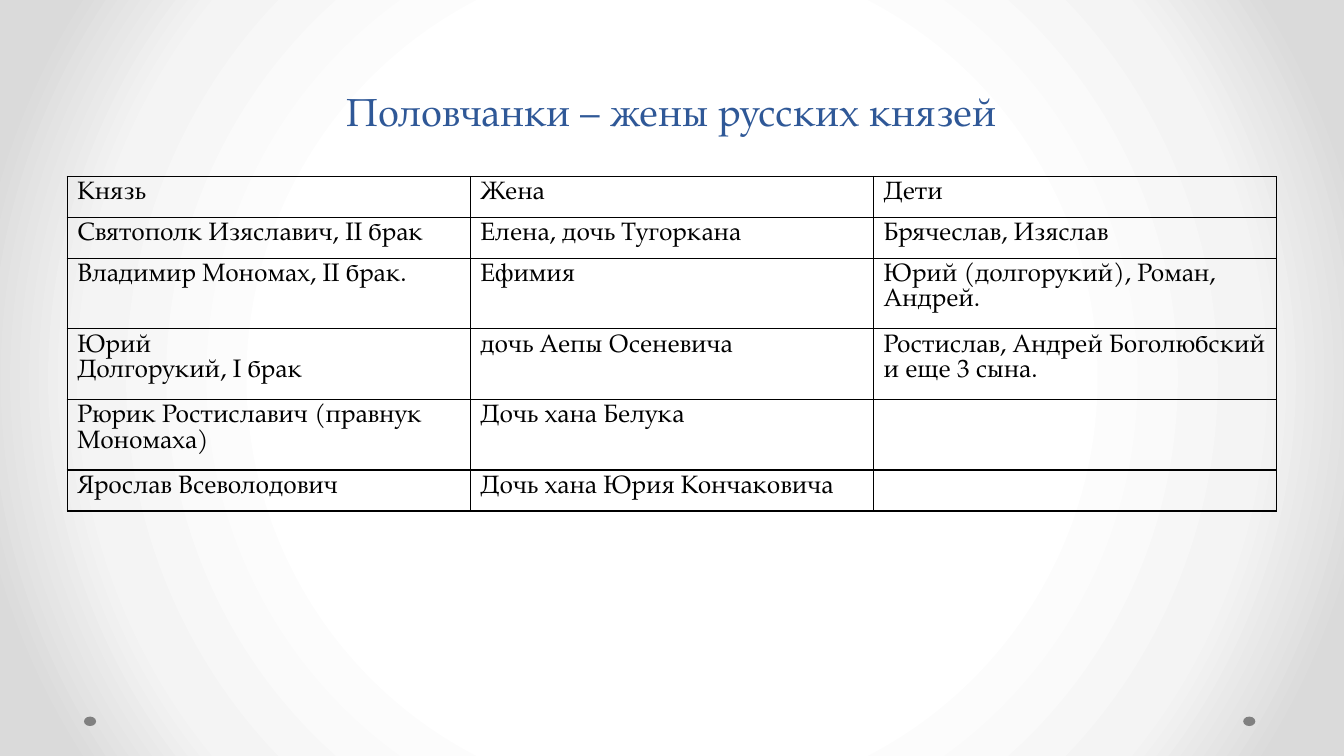
"""Builds a slide with a table of Russian princes and their Cuman wives."""
from dataclasses import dataclass

import lxml.etree
import pptx
import pptx.dml.color
import pptx.enum.shapes
import pptx.enum.text
import pptx.oxml.ns
import pptx.slide
import pptx.table
import pptx.text.text
import pptx.util

WIDTH = pptx.util.Inches(13.33)
HEIGHT = pptx.util.Inches(7.5)
COLUMN = WIDTH / 20
ROW = HEIGHT / 120
FONT = "TeX Gyre Pagella"
BLUE = pptx.dml.color.RGBColor(0x2F, 0x58, 0x97)
BLACK = pptx.dml.color.RGBColor(0, 0, 0)
GRAY = pptx.dml.color.RGBColor(0x80, 0x80, 0x80)
WHITE = pptx.dml.color.RGBColor(0xFF, 0xFF, 0xFF)
PALE = pptx.dml.color.RGBColor(0xF4, 0xF4, 0xF4)
SILVER = pptx.dml.color.RGBColor(0xDA, 0xDA, 0xDA)
BACKDROP = {50: WHITE, 76: PALE, 92: SILVER}
TITLE = "Половчанки – жены русских князей"


@dataclass(frozen=True)
class Area:
    """A rectangle in grid columns and rows."""
    left: float
    top: float
    width: float
    height: float

    def lengths(self) -> tuple[int, int, int, int]:
        """Return left, top, width and height as slide lengths."""
        return (round(self.left * COLUMN), round(self.top * ROW),
                round(self.width * COLUMN), round(self.height * ROW))


@dataclass(frozen=True)
class Marriage:
    """One line of the table."""
    prince: str
    wife: str
    children: str = ""


TITLE_AREA = Area(1, 7.5, 18, 14.75)
TABLE_AREA = Area(1, 28, 18, 39)
DOTS = [Area(left, 113.75, 0.18, 1.5) for left in (18.5, 1.25)]
MARRIAGES = [
    Marriage("Князь", "Жена", "Дети"),
    Marriage("Святополк Изяславич, II брак", "Елена, дочь Тугоркана",
             "Брячеслав, Изяслав"),
    Marriage("Владимир Мономах, II брак.", "Ефимия",
             "Юрий (долгорукий), Роман, Андрей."),
    Marriage("Юрий\nДолгорукий, I брак", "дочь Аепы Осеневича",
             "Ростислав, Андрей Боголюбский и еще 3 сына."),
    Marriage("Рюрик Ростиславич (правнук Мономаха)", "Дочь хана Белука"),
    Marriage("Ярослав Всеволодович", "Дочь хана Юрия Кончаковича"),
]


def add_element(parent, tag: str, **attributes: str):
    """Append a drawing element to its parent."""
    return lxml.etree.SubElement(parent, pptx.oxml.ns.qn(tag), attributes)


def paint_background(page: pptx.slide.Slide) -> None:
    """Give the page a round gradient, white in the centre."""
    page.background.fill.gradient()
    gradient = page.element.find(".//" + pptx.oxml.ns.qn("a:gradFill"))
    for child in list(gradient):
        gradient.remove(child)
    stops = add_element(gradient, "a:gsLst")
    for percent, color in BACKDROP.items():
        stop = add_element(stops, "a:gs", pos=str(percent * 1000))
        add_element(stop, "a:srgbClr", val=str(color))
    circle = add_element(gradient, "a:path", path="circle")
    add_element(circle, "a:fillToRect", l="50000", t="50000", r="50000", b="50000")


def style_text(frame: pptx.text.text.TextFrame, size: float,
               color: pptx.dml.color.RGBColor) -> None:
    """Set the font of every paragraph in a frame."""
    for para in frame.paragraphs:
        para.font.name = FONT
        para.font.size = pptx.util.Pt(size)
        para.font.color.rgb = color


def add_dot(page: pptx.slide.Slide, area: Area) -> None:
    """Draw one gray footer dot."""
    dot = page.shapes.add_shape(pptx.enum.shapes.MSO_SHAPE.OVAL, *area.lengths())
    dot.shadow.inherit = False
    dot.fill.solid()
    dot.fill.fore_color.rgb = GRAY
    dot.line.fill.background()


def add_title(page: pptx.slide.Slide) -> None:
    """Write the centred title."""
    box = page.shapes.add_textbox(*TITLE_AREA.lengths())
    frame = box.text_frame
    frame.word_wrap = True
    frame.vertical_anchor = pptx.enum.text.MSO_ANCHOR.BOTTOM
    frame.margin_left = frame.margin_right = pptx.util.Inches(0.11)
    frame.margin_top = frame.margin_bottom = pptx.util.Inches(0.06)
    frame.text = TITLE
    para = frame.paragraphs[0]
    para.alignment = pptx.enum.text.PP_ALIGN.CENTER
    para.line_spacing = pptx.util.Pt(58)
    style_text(frame, 28, BLUE)


def fill_cell(cell: pptx.table._Cell, text: str) -> None:
    """Write a clear cell with a thin black border."""
    cell.text_frame.text = text
    style_text(cell.text_frame, 18, BLACK)
    cell.fill.background()
    properties = cell._tc.get_or_add_tcPr()
    for index, side in enumerate(("a:lnL", "a:lnR", "a:lnT", "a:lnB")):
        border = add_element(properties, side, w=str(pptx.util.Pt(1)))
        solid = add_element(border, "a:solidFill")
        add_element(solid, "a:srgbClr", val=str(BLACK))
        properties.insert(index, border)


def add_marriages(page: pptx.slide.Slide) -> None:
    """Draw the table of marriages."""
    table = page.shapes.add_table(len(MARRIAGES), 3, *TABLE_AREA.lengths()).table
    table.first_row = False
    table.horz_banding = False
    for row, marriage in zip(table.rows, MARRIAGES):
        texts = (marriage.prince, marriage.wife, marriage.children)
        for cell, text in zip(row.cells, texts):
            fill_cell(cell, text)


def main() -> None:
    """Build and save the deck."""
    deck = pptx.Presentation()
    deck.slide_width = WIDTH
    deck.slide_height = HEIGHT
    page = deck.slides.add_slide(deck.slide_layouts[6])
    paint_background(page)
    for area in DOTS:
        add_dot(page, area)
    add_title(page)
    add_marriages(page)
    deck.save("out.pptx")


if __name__ == "__main__":
    main()
